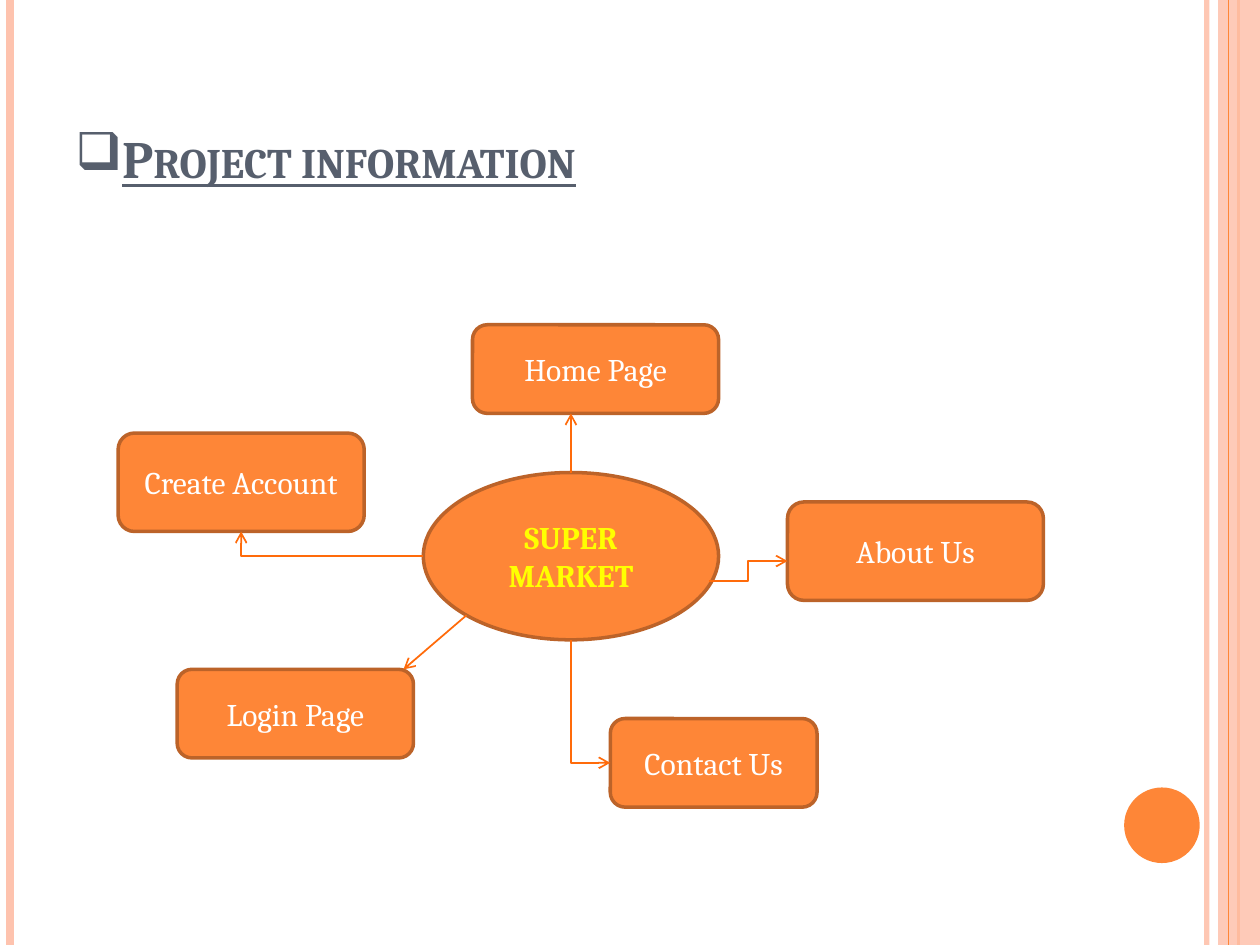
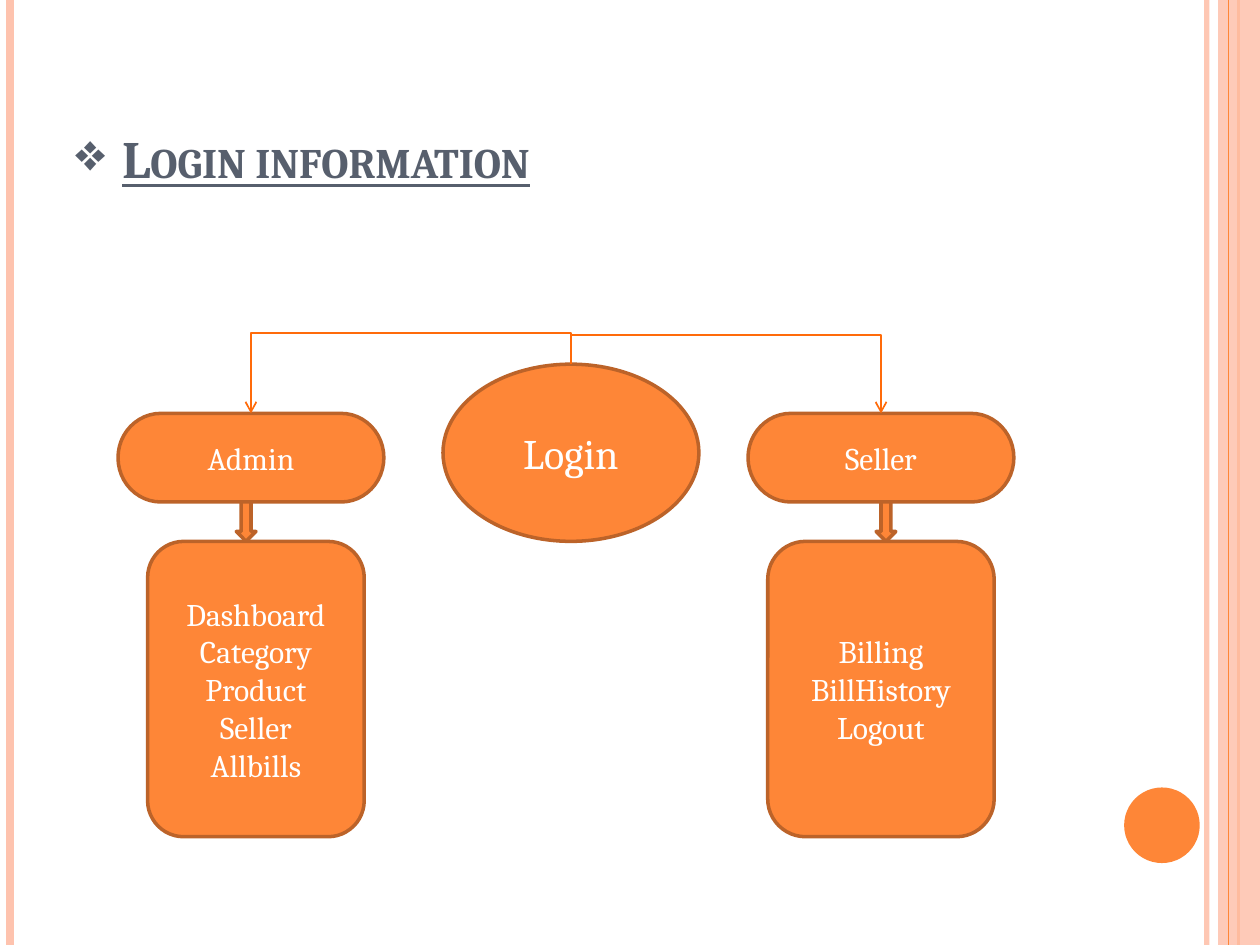
from lxml.etree import SubElement as Sub
from pptx import Presentation as Deck
from pptx.dml.color import RGBColor as Rgb
from pptx.enum.shapes import MSO_CONNECTOR as Link, MSO_SHAPE as Kind
from pptx.enum.text import MSO_ANCHOR as Anchor, PP_ALIGN as Align
from pptx.oxml.ns import qn
from pptx.util import Emu, Inches, Pt

WIDE, HIGH = Inches(10), Inches(7.5)
COLS, ROWS = 128, 96
ORANGE, PEACH, RUST, FLAME = "FE8637", "FEC3AE", "BC6329", "FF6B0A"
SLATE, WHITE, YELLOW = "575F6D", "FFFFFF", "FFFF00"


def paint(fmt, tone, alpha=100):
    """Give a fill a solid colour, with an opacity in percent."""
    fmt.solid()
    fmt.fore_color.rgb = Rgb.from_string(tone)
    if alpha < 100:
        clr = next(fmt._xPr.iter(qn("a:srgbClr")))
        Sub(clr, qn("a:alpha"), val=str(alpha * 1000))


class Page:
    """One slide on a grid of 128 columns by 96 rows, with the deck's style."""

    font = dict(name="Cambria", size=Pt(18), bold=False)

    def __init__(self, deck, title, mark):
        self.slide = deck.slides.add_slide(deck.slide_layouts[6])
        self.items = self.slide.shapes
        self.frame()
        self.title(title, mark)

    @staticmethod
    def at(col, row):
        return Emu(round(WIDE * col / COLS)), Emu(round(HIGH * row / ROWS))

    # Text
    def style(self, run, tone, **more):
        for key, val in {**self.font, **more}.items():
            setattr(run.font, key, val)
        run.font.color.rgb = Rgb.from_string(tone)

    def title(self, text, mark):
        box = self.items.add_textbox(*self.at(6.4, 3.84),
                                     *self.at(104.6, 16))
        body = box.text_frame
        body.word_wrap, body.vertical_anchor = True, Anchor.BOTTOM
        para = body.paragraphs[0]
        props = para._p.get_or_add_pPr()
        dent = Inches(0.37)
        props.set("marL", str(dent))
        props.set("indent", str(-dent))
        Sub(props, qn("a:buChar"), char=mark)
        run = para.add_run()
        run.text = text
        self.style(run, SLATE, size=Pt(30), bold=True, underline=True)
        run._r.get_or_add_rPr().set("cap", "small")

    # Shapes
    def shape(self, kind, col, row, cols, rows, text="", tone=WHITE,
              fill=ORANGE, alpha=100, edge=RUST, **more):
        item = self.items.add_shape(kind, *self.at(col, row),
                                    *self.at(cols, rows))
        item.shadow.inherit = False
        paint(item.fill, fill, alpha)
        if edge:
            paint(item.line.fill, edge)
            item.line.width = Pt(2)
        else:
            item.line.fill.background()
        if text:
            body = item.text_frame
            body.word_wrap, body.vertical_anchor = True, Anchor.MIDDLE
            body.text = text
            for para in body.paragraphs:
                para.alignment = Align.CENTER
                self.style(para.runs[0], tone, **more)

    # Lines
    def line(self, start, end, tone=FLAME, width=1, alpha=100,
             kind=Link.STRAIGHT, head=False):
        item = self.items.add_connector(kind, *self.at(*start), *self.at(*end))
        paint(item.line.fill, tone, alpha)
        item.line.width = Pt(width)
        if head:
            Sub(item.line._get_or_add_ln(), qn("a:tailEnd"), type="arrow")
        Sub(item._element.spPr, qn("a:effectLst"))
        return item

    def bend(self, start, end, legs=2, up=False, turn=0.5):
        """Elbow arrow; up makes its first leg vertical by a quarter turn."""
        (x1, y1), (x2, y2) = start, end
        if up:
            midx, midy = (x1 + x2) / 2, (y1 + y2) / 2
            dx, dy = (x2 - x1) / 2, (y2 - y1) / 2
            start, end = (midx + dy, midy - dx), (midx - dy, midy + dx)
        item = self.line(start, end, kind=Link.ELBOW, head=True)
        props = item._element.spPr
        if up:
            props.find(qn("a:xfrm")).set("rot", str(270 * 60000))
        geom = props.find(qn("a:prstGeom"))
        geom.set("prst", f"bentConnector{legs}")
        if legs == 3:
            Sub(geom.find(qn("a:avLst")), qn("a:gd"), name="adj1",
                fmla=f"val {round(turn * 100000)}")

    # Side bands and dot
    def frame(self):
        def band(col, tone, width, alpha=100):
            self.line((col, 0), (col, ROWS), tone, width, alpha)

        band(122.6, PEACH, 3, 93)
        band(1, PEACH, 4.5)
        band(125.8, ORANGE, 1.5)
        self.shape(Kind.RECTANGLE, 123.75, 0, 4.25, ROWS,
                   fill=PEACH, alpha=87, edge=None)
        band(124.8, ORANGE, 0.75)
        self.shape(Kind.OVAL, 114.2, 80, 7.68, 7.68, edge=None)


def project(deck):
    page = Page(deck, "Project information", "❑")
    page.shape(Kind.OVAL, 43, 48, 30, 17, "SUPER MARKET", YELLOW, bold=True)
    for text, *spot in (("Home Page", 48, 33, 25, 9),
                        ("About Us", 80, 51, 26, 10),
                        ("Contact Us", 62, 73, 21, 9),
                        ("Login Page", 18, 68, 24, 9),
                        ("Create Account", 12, 44, 25, 10)):
        page.shape(Kind.ROUNDED_RECTANGLE, *spot, text)
    # Arrows from the hub
    page.line((58, 48), (58, 42), head=True)
    page.line((47.4, 62.5), (41, 68), head=True)
    page.bend((72, 59), (80, 57), legs=3)
    page.bend((43, 56.5), (24.5, 54))
    page.bend((58, 65), (62, 77.5), up=True)


def login(deck):
    page = Page(deck, "Login information", "❖")
    page.shape(Kind.OVAL, 45, 37, 26, 18, "Login", size=Pt(24))
    # Each role with its pages
    admin = "Dashboard\nCategory\nProduct\nSeller\nAllbills"
    seller = "Billing\nBillHistory\nLogout"
    for role, col, text, left, cols, stem in (
            ("Admin", 12, admin, 15, 22, 24),
            ("Seller", 76, seller, 78, 23, 89)):
        page.shape(Kind.FLOWCHART_TERMINATOR, col, 42, 27, 9, role)
        page.shape(Kind.ROUNDED_RECTANGLE, left, 55, cols, 30, text)
        page.shape(Kind.DOWN_ARROW, stem, 51, 2, 4)
    # Arrows to the roles
    page.bend((58, 37), (25.5, 42), legs=3, up=True, turn=-0.64)
    page.bend((58, 34), (89.5, 42))


def main():
    deck = Deck()
    deck.slide_width, deck.slide_height = WIDE, HIGH
    project(deck)
    login(deck)
    deck.save("out.pptx")


if __name__ == "__main__":
    main()
